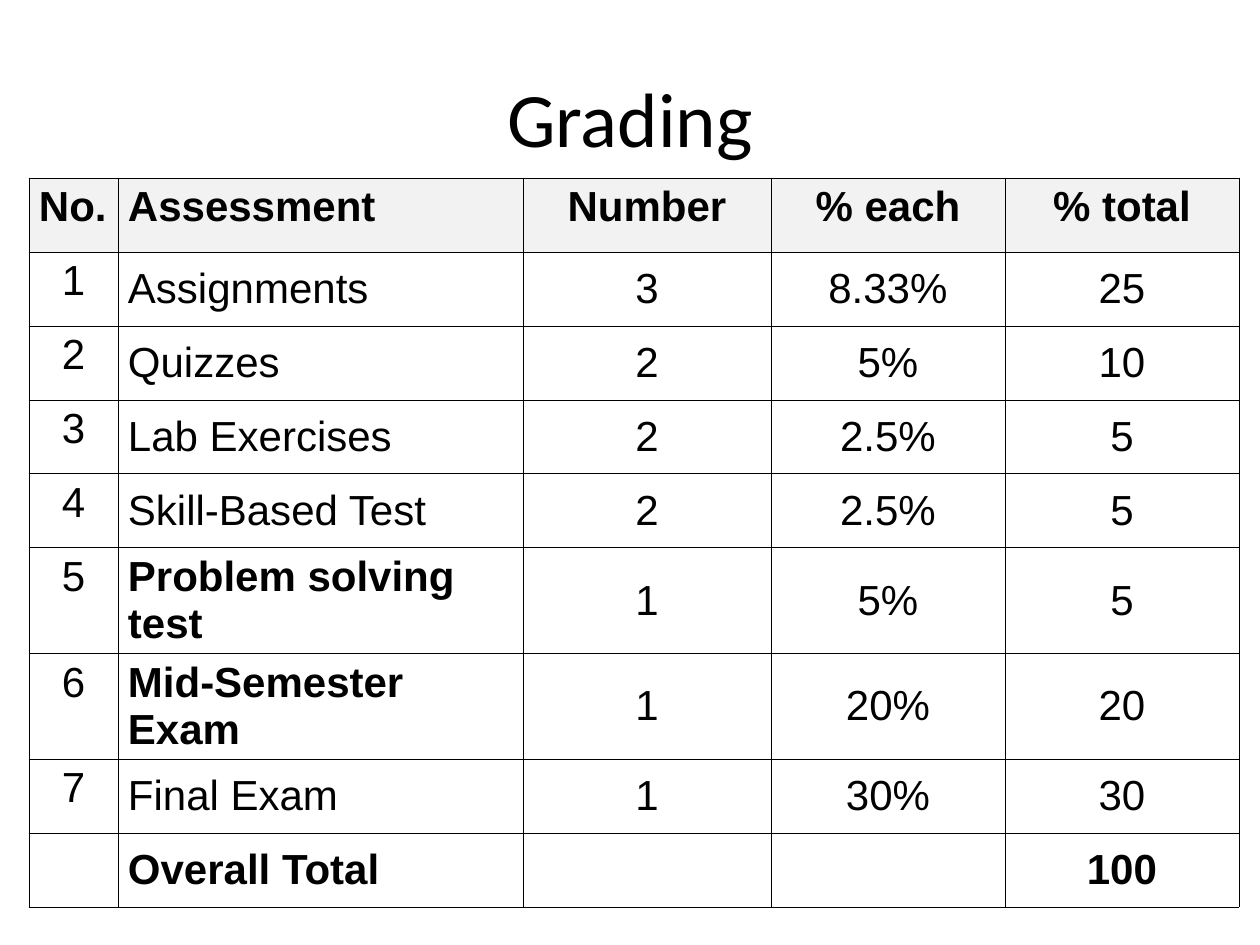
"""Build the course grading slide with its table of assessments."""
import pptx
import pptx.dml.color
import pptx.enum.text
import pptx.oxml.ns
import pptx.util
from lxml import etree

TITLE = "Grading"
HEADER = ("No.", "Assessment", "Number", "% each", "% total")
ASSESSMENTS = [
    ("1", "Assignments", "3", "8.33%", "25"),
    ("2", "Quizzes", "2", "5%", "10"),
    ("3", "Lab Exercises", "2", "2.5%", "5"),
    ("4", "Skill-Based Test", "2", "2.5%", "5"),
    ("5", "Problem solving test", "1", "5%", "5"),
    ("6", "Mid-Semester Exam", "1", "20%", "20"),
    ("7", "Final Exam", "1", "30%", "30"),
]
TOTAL = ("", "Overall Total", "", "", "100")
BOLD_NAMES = ("Problem solving test", "Mid-Semester Exam")

COLORS = {"text": "000000", "border": "000000", "header": "F2F2F2"}
PAGE_SIZE = (1260, 945)
TITLE_AREA = (63, 38, 1134, 157)
TABLE_CORNER = (29, 178)
COLUMN_WIDTHS = (89, 405, 248, 234, 234)
ROW_HEIGHT, TALL_ROW_HEIGHT = 74, 101
BORDER_WIDTH = pptx.util.Pt(0.45)
CELL_MARGINS = {"margin_left": 10, "margin_right": 10,
                "margin_top": 6, "margin_bottom": 6}
TITLE_FONT = {"name": "Calibri", "size": pptx.util.Pt(44)}
CELL_FONT = {"name": "Arial", "size": pptx.util.Pt(24)}

ALIGN = pptx.enum.text.PP_ALIGN
ANCHOR = pptx.enum.text.MSO_ANCHOR


def px(length):
    return pptx.util.Emu(round(length * 914400 / 126))


def rgb(name):
    return pptx.dml.color.RGBColor.from_string(COLORS[name])


def apply(target, values):
    for name, value in values.items():
        setattr(target, name, value)


def write(paragraph, text, font, align):
    paragraph.alignment = align
    span = paragraph.add_run()
    span.text = text
    apply(span.font, font)
    span.font.color.rgb = rgb("text")


def add_borders(cell):
    properties = cell._tc.get_or_add_tcPr()
    qn = pptx.oxml.ns.qn
    for index, side in enumerate(("a:lnL", "a:lnR", "a:lnT", "a:lnB")):
        line = etree.Element(qn(side), w=str(int(BORDER_WIDTH)))
        fill = etree.SubElement(line, qn("a:solidFill"))
        etree.SubElement(fill, qn("a:srgbClr"), val=COLORS["border"])
        properties.insert(index, line)


def fill_cell(cell, text, row, column):
    is_header = row == 0
    at_top = is_header or column == 0
    apply(cell, {name: px(size) for name, size in CELL_MARGINS.items()})
    cell.vertical_anchor = ANCHOR.TOP if at_top else ANCHOR.MIDDLE
    if is_header:
        cell.fill.solid()
        cell.fill.fore_color.rgb = rgb("header")
    else:
        cell.fill.background()
    add_borders(cell)
    if text:
        paragraph = cell.text_frame.paragraphs[0]
        is_left = column == 1 or (is_header and column == 0)
        is_bold = is_header or text in BOLD_NAMES or text in TOTAL
        write(paragraph, text, {**CELL_FONT, "bold": is_bold},
              ALIGN.LEFT if is_left else ALIGN.CENTER)
        if at_top:
            paragraph.space_after = pptx.util.Pt(3)


def add_title(page):
    title = page.shapes.title
    apply(title, dict(zip(("left", "top", "width", "height"), map(px, TITLE_AREA))))
    title.text_frame.vertical_anchor = ANCHOR.MIDDLE
    write(title.text_frame.paragraphs[0], TITLE, TITLE_FONT, ALIGN.CENTER)


def add_grading_table(page):
    rows = [HEADER, *ASSESSMENTS, TOTAL]
    heights = [TALL_ROW_HEIGHT if row[1] in BOLD_NAMES else ROW_HEIGHT for row in rows]
    table = page.shapes.add_table(
        len(rows), len(HEADER), *map(px, TABLE_CORNER),
        px(sum(COLUMN_WIDTHS)), px(sum(heights))).table
    apply(table, {"first_row": False, "horz_banding": False})
    for column, width in zip(table.columns, COLUMN_WIDTHS):
        column.width = px(width)
    for row, (texts, height) in enumerate(zip(rows, heights)):
        table.rows[row].height = px(height)
        for column, text in enumerate(texts):
            fill_cell(table.cell(row, column), text, row, column)


def main():
    deck = pptx.Presentation()
    deck.slide_width, deck.slide_height = map(px, PAGE_SIZE)
    page = deck.slides.add_slide(deck.slide_layouts[5])
    add_title(page)
    add_grading_table(page)
    deck.save("out.pptx")


if __name__ == "__main__":
    main()
